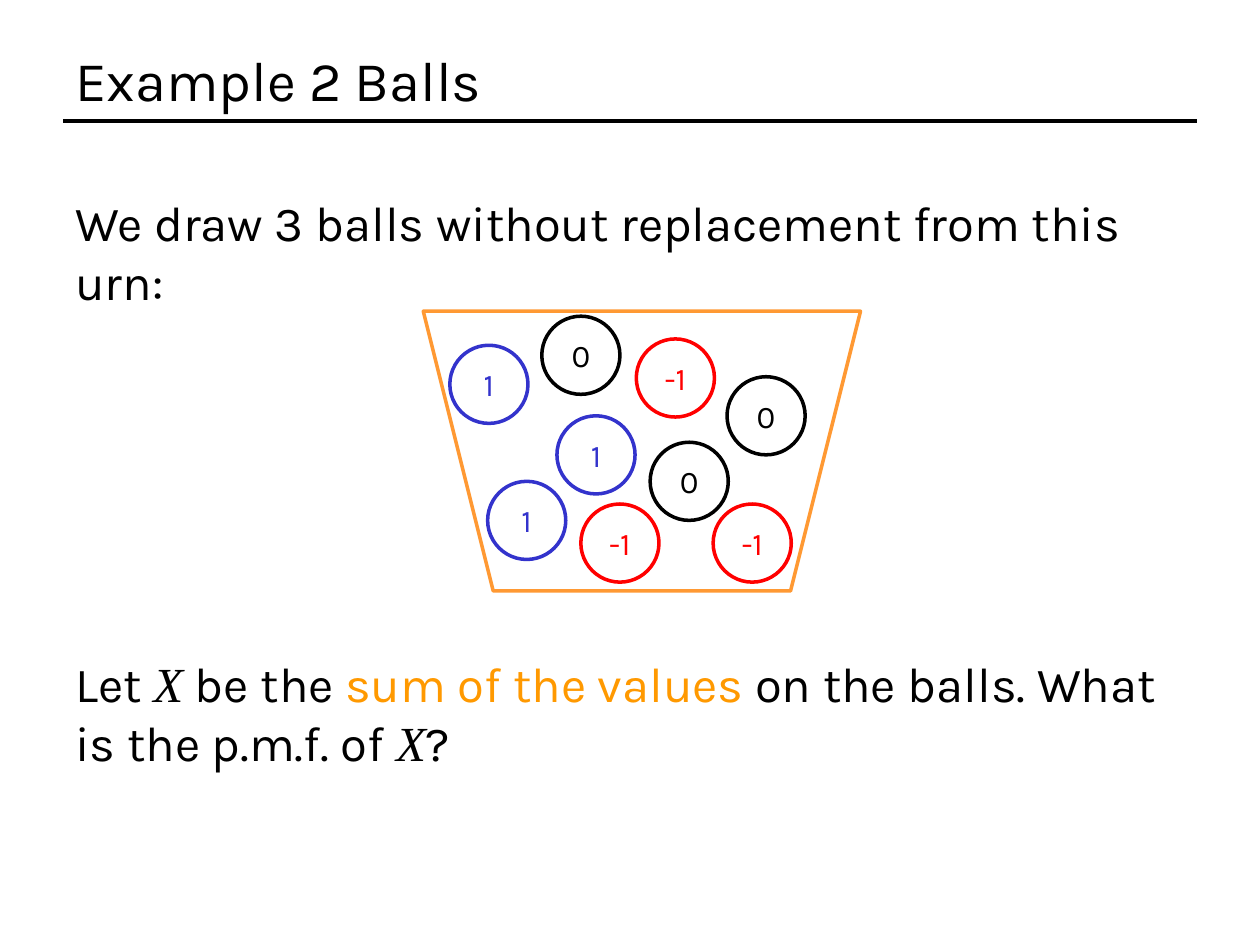
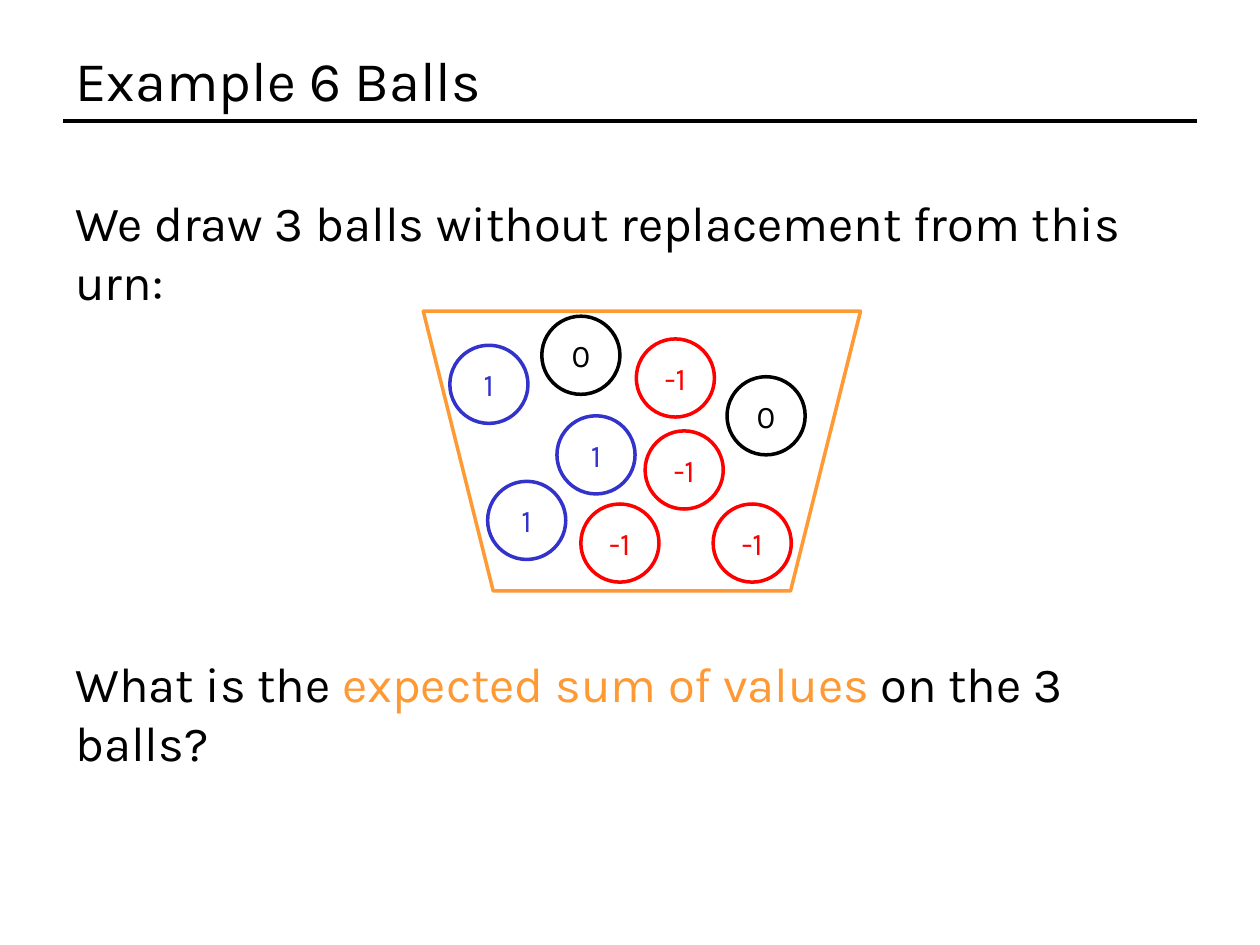
from typing import NamedTuple

from lxml import etree
from pptx import Presentation
from pptx.dml.color import RGBColor
from pptx.enum.shapes import MSO_CONNECTOR, MSO_SHAPE
from pptx.enum.text import MSO_ANCHOR, PP_ALIGN
from pptx.oxml.ns import qn
from pptx.util import Inches, Pt

STRAIGHT = MSO_CONNECTOR.STRAIGHT
ELLIPSE, TRAPEZOID = MSO_SHAPE.OVAL, MSO_SHAPE.TRAPEZOID
CENTER, MIDDLE = PP_ALIGN.CENTER, MSO_ANCHOR.MIDDLE

COLORS = {
    "ink": "000000",
    "blue": "3333CC",
    "red": "FF0000",
    "orange": "FF9933",
    "amber": "FF9900",
}
BODY_FONT, MATH_FONT = "Karla", "Times New Roman"
TITLE_SIZE, BODY_SIZE, BALL_SIZE = 32, 28, 18
LINE_WIDTH = Pt(2)
MARGIN, CONTENT_WIDTH = 0.5, 9
RULE_Y = 0.96
BALL_DIAMETER = 0.62
BALL_COLORS = {1: "blue", 0: "ink", -1: "red"}


class Words(NamedTuple):
    text: str
    color: str = "ink"
    math: bool = False


class Ball(NamedTuple):
    value: int
    left: float
    top: float


class Example(NamedTuple):
    title: str
    balls: list[Ball]
    question: list[Words]
    question_height: float


DRAW_RULE = [Words("We draw 3 balls without replacement from this urn:")]
X = Words("X", math=True)

# Balls that lie in the urn in both examples
COMMON_BALLS = [
    Ball(-1, 4.61, 4.0),
    Ball(1, 3.57, 2.74),
    Ball(1, 3.87, 3.82),
    Ball(1, 4.42, 3.3),
    Ball(-1, 5.05, 2.69),
    Ball(-1, 5.66, 4.0),
    Ball(0, 5.77, 2.99),
    Ball(0, 4.3, 2.51),
]

EXAMPLES = [
    Example(
        "Example 2 Balls",
        COMMON_BALLS + [Ball(0, 5.16, 3.51)],
        [Words("Let "), X, Words(" be the "), Words("sum of the values", "amber"),
         Words(" on the balls. What is the p.m.f. of "), X, Words("?")],
        1.04,
    ),
    Example(
        "Example 6 Balls",
        COMMON_BALLS + [Ball(-1, 5.12, 3.42)],
        [Words("What is the "), Words("expected sum of values", "orange"),
         Words(" on the 3 balls?")],
        0.57,
    ),
]


def rgb(color: str) -> RGBColor:
    return RGBColor.from_string(COLORS[color])


def add_words(paragraph, words: list[Words], size: float) -> None:
    for part in words:
        run = paragraph.add_run()
        run.text = part.text
        run.font.size = Pt(size)
        run.font.name = MATH_FONT if part.math else BODY_FONT
        run.font.italic = part.math
        run.font.color.rgb = rgb(part.color)


def add_text(slide, top: float, height: float, words: list[Words], size: float):
    box = slide.shapes.add_textbox(
        Inches(MARGIN), Inches(top), Inches(CONTENT_WIDTH), Inches(height))
    box.text_frame.word_wrap = True
    add_words(box.text_frame.paragraphs[0], words, size)
    return box


def add_outline(slide, kind, left: float, top: float, width: float,
                height: float, color: str):
    outline = slide.shapes.add_shape(
        kind, Inches(left), Inches(top), Inches(width), Inches(height))
    outline.shadow.inherit = False
    outline.fill.background()
    outline.line.color.rgb = rgb(color)
    outline.line.width = LINE_WIDTH
    return outline


def add_title(slide, title: str) -> None:
    rule = slide.shapes.add_connector(
        STRAIGHT, Inches(MARGIN), Inches(RULE_Y),
        Inches(MARGIN + CONTENT_WIDTH), Inches(RULE_Y))
    rule.line.color.rgb = rgb("ink")
    rule.line.width = LINE_WIDTH
    etree.SubElement(rule.element.spPr, qn("a:effectLst"))
    heading = add_text(slide, 0.3, 0.66, [Words(title)], TITLE_SIZE)
    heading.text_frame.vertical_anchor = MIDDLE


def add_urn(slide) -> None:
    urn = add_outline(slide, TRAPEZOID, 3.36, 2.47, 3.47, 2.22, "orange")
    urn.element.spPr.find(qn("a:xfrm")).set("flipV", "1")


def add_ball(slide, ball: Ball) -> None:
    color = BALL_COLORS[ball.value]
    circle = add_outline(slide, ELLIPSE, ball.left, ball.top,
                         BALL_DIAMETER, BALL_DIAMETER, color)
    frame = circle.text_frame
    frame.word_wrap = False
    frame.vertical_anchor = MIDDLE
    label = frame.paragraphs[0]
    label.alignment = CENTER
    add_words(label, [Words(str(ball.value), color)], BALL_SIZE)


def add_example(deck, example: Example) -> None:
    slide = deck.slides.add_slide(deck.slide_layouts[6])
    add_title(slide, example.title)
    add_text(slide, 1.48, 0.57, DRAW_RULE, BODY_SIZE)
    add_urn(slide)
    for ball in example.balls:
        add_ball(slide, ball)
    add_text(slide, 5.14, example.question_height, example.question, BODY_SIZE)


def main() -> None:
    deck = Presentation()
    deck.slide_width, deck.slide_height = Inches(10), Inches(7.5)
    for example in EXAMPLES:
        add_example(deck, example)
    deck.save("out.pptx")


if __name__ == "__main__":
    main()
